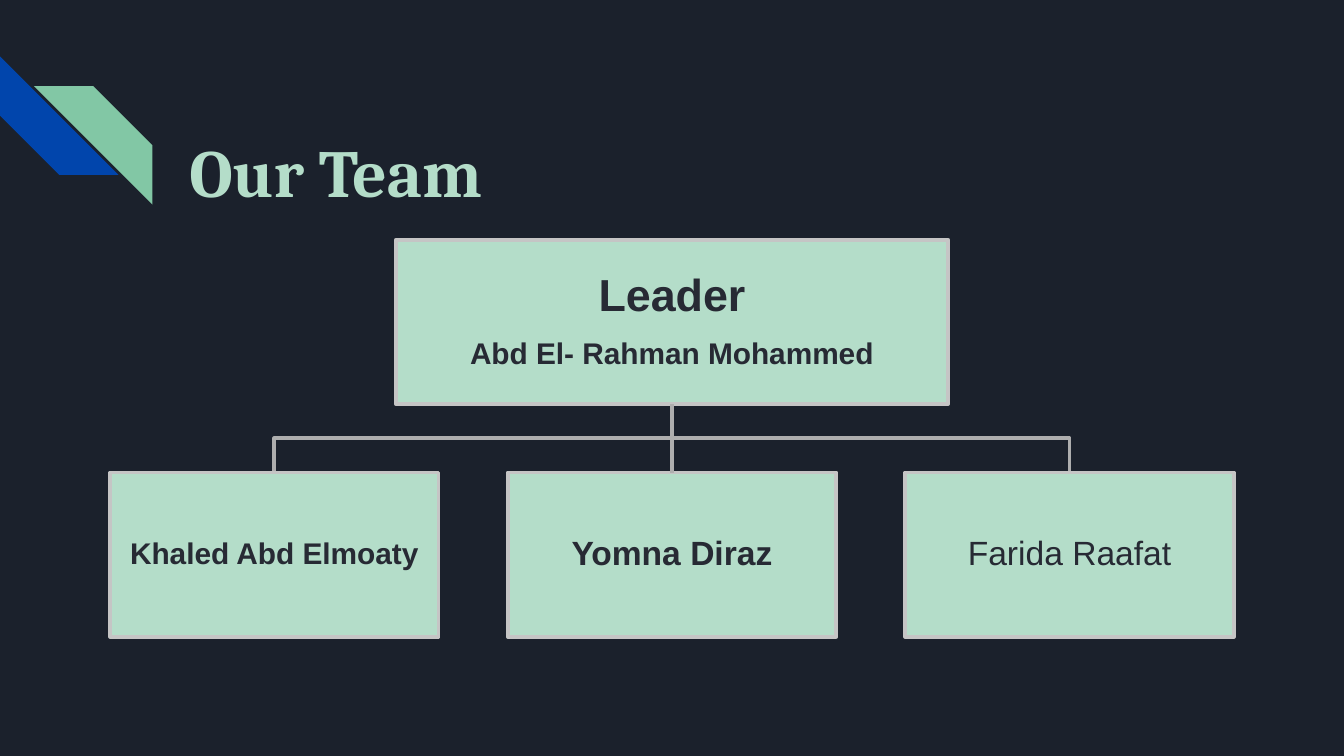
from dataclasses import dataclass

from lxml.etree import SubElement
from pptx import Presentation
from pptx.dml.color import RGBColor
from pptx.enum.shapes import MSO_CONNECTOR, MSO_SHAPE
from pptx.enum.text import MSO_ANCHOR, PP_ALIGN
from pptx.oxml.ns import qn
from pptx.slide import Slide
from pptx.util import Pt


def color(value):
    """Turn a hex string into a colour."""
    return RGBColor.from_string(value)


@dataclass
class TeamSlide:
    """Hold the style and the current slide."""
    slide: Slide
    background: str = "1B212C"
    mint: str = "B4DDC9"
    ink: str = "272A34"
    border: str = "C5C5C5"
    link: str = "AEAEAE"
    line_width: float = 2

    def paint_background(self):
        """Fill the slide background."""
        fill = self.slide.background.fill
        fill.solid()
        fill.fore_color.rgb = color(self.background)

    def outline(self, line, value):
        """Style a line."""
        line.color.rgb = color(value)
        line.width = Pt(self.line_width)

    def stripe(self, left, top, size, rotation, value):
        """Add a diagonal stripe."""
        shape = self.slide.shapes.add_shape(
            MSO_SHAPE.DIAGONAL_STRIPE, Pt(left), Pt(top), Pt(size), Pt(size))
        shape.shadow.inherit = False
        shape.rotation = rotation
        shape.fill.solid()
        shape.fill.fore_color.rgb = color(value)
        shape.line.fill.background()

    def title(self, text, left, top, width, height):
        """Place and format the title."""
        shape = self.slide.shapes.title
        shape.left, shape.top = Pt(left), Pt(top)
        shape.width, shape.height = Pt(width), Pt(height)
        frame = shape.text_frame
        frame.text = text
        frame.vertical_anchor = MSO_ANCHOR.TOP
        frame.margin_left = frame.margin_right = Pt(7.2)
        frame.margin_top = frame.margin_bottom = Pt(7.2)
        paragraph = frame.paragraphs[0]
        paragraph.alignment = PP_ALIGN.LEFT
        self.format_font(paragraph.runs[0].font, "Cambria", 36, True, self.mint)

    def format_font(self, font, name, size, bold, value):
        """Set the look of a font."""
        font.name, font.size, font.bold = name, Pt(size), bold
        font.color.rgb = color(value)

    def box(self, center, top, width, height, margin, lines):
        """Add a member box holding (text, size, bold) lines."""
        shape = self.slide.shapes.add_shape(
            MSO_SHAPE.RECTANGLE, Pt(center - width / 2), Pt(top), Pt(width), Pt(height))
        shape.shadow.inherit = False
        shape.fill.solid()
        shape.fill.fore_color.rgb = color(self.mint)
        self.outline(shape.line, self.border)
        frame = shape.text_frame
        frame.word_wrap = True
        frame.vertical_anchor = MSO_ANCHOR.MIDDLE
        frame.margin_left = frame.margin_right = Pt(margin)
        frame.margin_top = frame.margin_bottom = Pt(margin)
        frame.text = "\n".join(text for text, _, _ in lines)
        for paragraph, (_, size, bold) in zip(frame.paragraphs, lines):
            paragraph.alignment = PP_ALIGN.CENTER
            paragraph.line_spacing = 0.9
            paragraph.space_after = Pt(0.4 * size)
            self.format_font(paragraph.runs[0].font, "Arial", size, bold, self.ink)
        return shape

    def straight_link(self, upper, lower):
        """Join two boxes that stand one above the other."""
        connector = self.slide.shapes.add_connector(MSO_CONNECTOR.STRAIGHT, 0, 0, 0, 0)
        connector.begin_connect(upper, 2)
        connector.end_connect(lower, 0)
        self.outline(connector.line, self.link)
        SubElement(connector._element.spPr, qn("a:effectLst"))

    def bent_link(self, start_x, start_y, end_x, end_y):
        """Add a line that runs down, across and down."""
        middle = (start_y + end_y) / 2
        builder = self.slide.shapes.build_freeform(Pt(start_x), Pt(start_y))
        corners = [(start_x, middle), (end_x, middle), (end_x, end_y)]
        builder.add_line_segments([(Pt(x), Pt(y)) for x, y in corners], close=False)
        shape = builder.convert_to_shape()
        shape.shadow.inherit = False
        shape.fill.background()
        self.outline(shape.line, self.link)


def main():
    """Build the team slide."""
    presentation = Presentation()
    presentation.slide_width, presentation.slide_height = Pt(720), Pt(405)
    team = TeamSlide(presentation.slides.add_slide(presentation.slide_layouts[5]))
    team.paint_background()
    team.stripe(0, 30.2, 63.5, 270, "0145AC")
    team.stripe(18.2, 46.2, 63.5, 90, "82C7A5")
    team.title("Our Team", 94.2, 62.6, 554.4, 72)

    center, pitch, height = 360, 213, 88
    leader_top, member_top = 128.5, 253.2
    members = [("Khaled Abd Elmoaty", 16, True),
               ("Yomna Diraz", 18, True),
               ("Farida Raafat", 18, False)]
    for side in (1, -1):
        team.bent_link(center, leader_top + height, center + side * pitch, member_top)
    leader = team.box(center, leader_top, 296, height, 1.4,
                      [("Leader", 24, True), ("Abd El- Rahman Mohammed", 16, True)])
    boxes = [team.box(center + (index - 1) * pitch, member_top, 176, height, 0.8, [member])
             for index, member in enumerate(members)]
    team.straight_link(leader, boxes[1])
    presentation.save("out.pptx")


if __name__ == "__main__":
    main()
